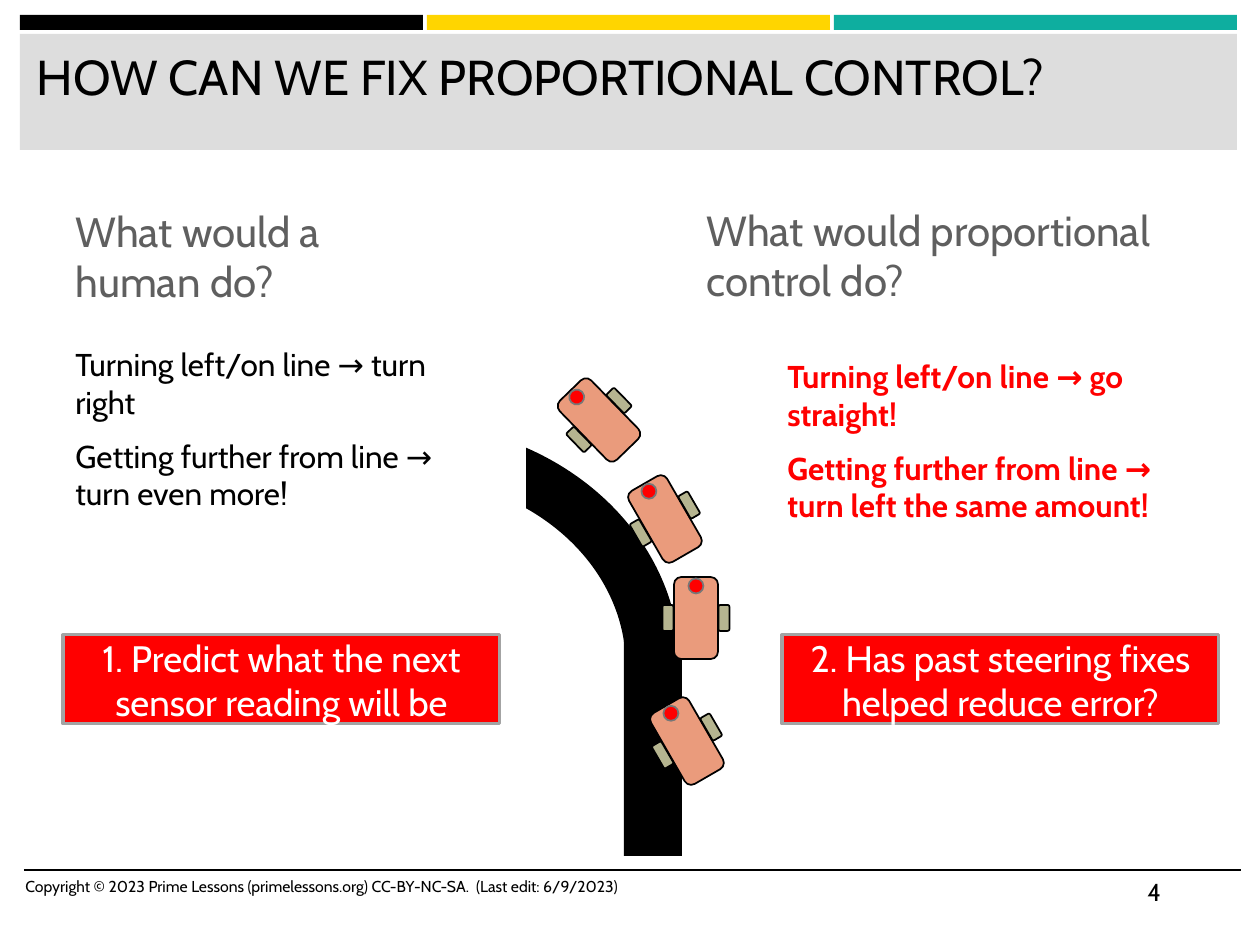
import math

from lxml import etree
from pptx import Presentation
from pptx import util as u
from pptx.dml.color import RGBColor
from pptx.enum import shapes, text
from pptx.oxml import ns

PX = 914400 / 126
FONT = "Cabin"
BLACK = RGBColor(0x00, 0x00, 0x00)
WHITE = RGBColor(0xFF, 0xFF, 0xFF)
YELLOW = RGBColor(0xFF, 0xD5, 0x00)
TEAL = RGBColor(0x0E, 0xAE, 0x9F)
PALE_GRAY = RGBColor(0xDD, 0xDD, 0xDD)
BORDER_GRAY = RGBColor(0xA3, 0xA3, 0xA3)
DOT_GRAY = RGBColor(0x77, 0x77, 0x77)
HEADING_GRAY = RGBColor(0x5F, 0x5F, 0x5F)
RED = RGBColor(0xFF, 0x00, 0x00)
SALMON = RGBColor(0xEA, 0x9B, 0x7C)
KHAKI = RGBColor(0xB6, 0xB5, 0x90)
KIND = shapes.MSO_SHAPE


def px(*values):
    return [u.Emu(round(value * PX)) for value in values]


def add_figure(parent, kind, box, fill=None, line=None, line_width=1):
    shape = parent.shapes.add_shape(kind, *px(*box))
    shape.shadow.inherit = False
    if fill is None:
        shape.fill.background()
    else:
        shape.fill.solid()
        shape.fill.fore_color.rgb = fill
    if line is None:
        shape.line.fill.background()
    else:
        shape.line.color.rgb = line
        shape.line.width = u.Pt(line_width)
    return shape


def write(shape, lines, size, color, bold=False, align=text.PP_ALIGN.LEFT,
          anchor=text.MSO_ANCHOR.TOP, before=0, after=0):
    frame = shape.text_frame
    frame.word_wrap = True
    frame.auto_size = text.MSO_AUTO_SIZE.NONE
    frame.vertical_anchor = anchor
    for index, line in enumerate(lines):
        paragraph = frame.add_paragraph() if index else frame.paragraphs[0]
        paragraph.alignment = align
        paragraph.space_before = u.Pt(before if index else 0)
        paragraph.space_after = u.Pt(after)
        run = paragraph.add_run()
        run.text = line
        run.font.name = FONT
        run.font.size = u.Pt(size)
        run.font.bold = bold
        run.font.color.rgb = color


def add_text(slide, box, lines, size, color, **options):
    write(slide.shapes.add_textbox(*px(*box)), lines, size, color, **options)


def add_header(slide, wording):
    for index, color in enumerate((BLACK, YELLOW, TEAL)):
        add_figure(slide, KIND.RECTANGLE, (20 + 407 * index, 15, 403, 15), color)
    band = add_figure(slide, KIND.RECTANGLE, (20, 34, 1217, 116), PALE_GRAY)
    title = slide.shapes.title
    title.left, title.top, title.width, title.height = px(24, 40, 1206, 103)
    write(title, [wording], 28, BLACK)
    band.element.addnext(title.element)


def add_footer(slide, copyright_line, number):
    rule = slide.shapes.add_connector(
        shapes.MSO_CONNECTOR.STRAIGHT, *px(24, 870, 1241, 870))
    rule.line.color.rgb = BLACK
    rule.line.width = u.Pt(1)
    etree.SubElement(rule.element.spPr, ns.qn("a:effectLst"))
    add_text(slide, (13, 871, 672, 50), [copyright_line], 9, BLACK)
    add_text(slide, (1135, 871, 106, 50), [number], 14, BLACK)


def add_road(slide):
    add_figure(slide, KIND.RECTANGLE, (624, 639, 58, 217), BLACK)
    add_figure(slide, KIND.ARC, (149, 449, 504, 433), line=BLACK, line_width=31)
    add_figure(slide, KIND.RECTANGLE, (347, 364, 178, 155), WHITE, WHITE, 1.75)


def add_robot(slide, center_x, center_y, rotation):
    robot = slide.shapes.add_group_shape()
    cosine = math.cos(math.radians(rotation))
    sine = math.sin(math.radians(rotation))
    parts = (
        (KIND.ROUNDED_RECTANGLE, 0, 0, 44, 82, SALMON, BLACK),
        (KIND.ROUNDED_RECTANGLE, 28, 0, 11, 26, KHAKI, BLACK),
        (KIND.ROUNDED_RECTANGLE, -28, 0, 11, 26, KHAKI, BLACK),
        (KIND.OVAL, 0, -32, 15, 15, RED, DOT_GRAY),
    )
    for kind, across, along, width, height, fill, line in parts:
        left = center_x + across * cosine - along * sine - width / 2
        top = center_y + across * sine + along * cosine - height / 2
        part = add_figure(robot, kind, (left, top, width, height), fill, line)
        part.rotation = rotation


def add_callout(slide, left, wording):
    box = add_figure(slide, KIND.RECTANGLE, (left, 635, 437, 89), RED, BORDER_GRAY, 1.75)
    write(box, [wording], 21, WHITE, align=text.PP_ALIGN.CENTER,
          anchor=text.MSO_ANCHOR.MIDDLE)


def main():
    presentation = Presentation()
    presentation.slide_width, presentation.slide_height = px(1260, 945)
    slide = presentation.slides.add_slide(presentation.slide_layouts[5])
    add_header(slide, "HOW CAN WE FIX PROPORTIONAL CONTROL?")
    add_footer(
        slide,
        "Copyright © 2023 Prime Lessons (primelessons.org) CC-BY-NC-SA.  (Last edit: 6/9/2023)",
        "4")

    add_road(slide)
    for center_x, center_y, rotation in (
            (687, 741, 330), (696, 618, 0), (665, 519, 330), (599, 420, 315.8)):
        add_robot(slide, center_x, center_y, rotation)

    add_text(slide, (63, 199, 378, 77), ["What would a human do?"], 24, HEADING_GRAY)
    add_text(slide, (694, 198, 527, 77), ["What would proportional control do?"],
             24, HEADING_GRAY)
    add_text(slide, (63, 339, 436, 304),
             ["Turning left/on line → turn right",
              "Getting further from line → turn even more!"],
             18, BLACK, before=3, after=6)
    add_text(slide, (775, 351, 427, 304),
             ["Turning left/on line → go straight!",
              "Getting further from line → turn left the same amount!"],
             18, RED, bold=True, before=3, after=6)

    add_callout(slide, 63, "1. Predict what the next sensor reading will be")
    add_callout(slide, 782, "2. Has past steering fixes helped reduce error?")
    presentation.save("out.pptx")


if __name__ == "__main__":
    main()
